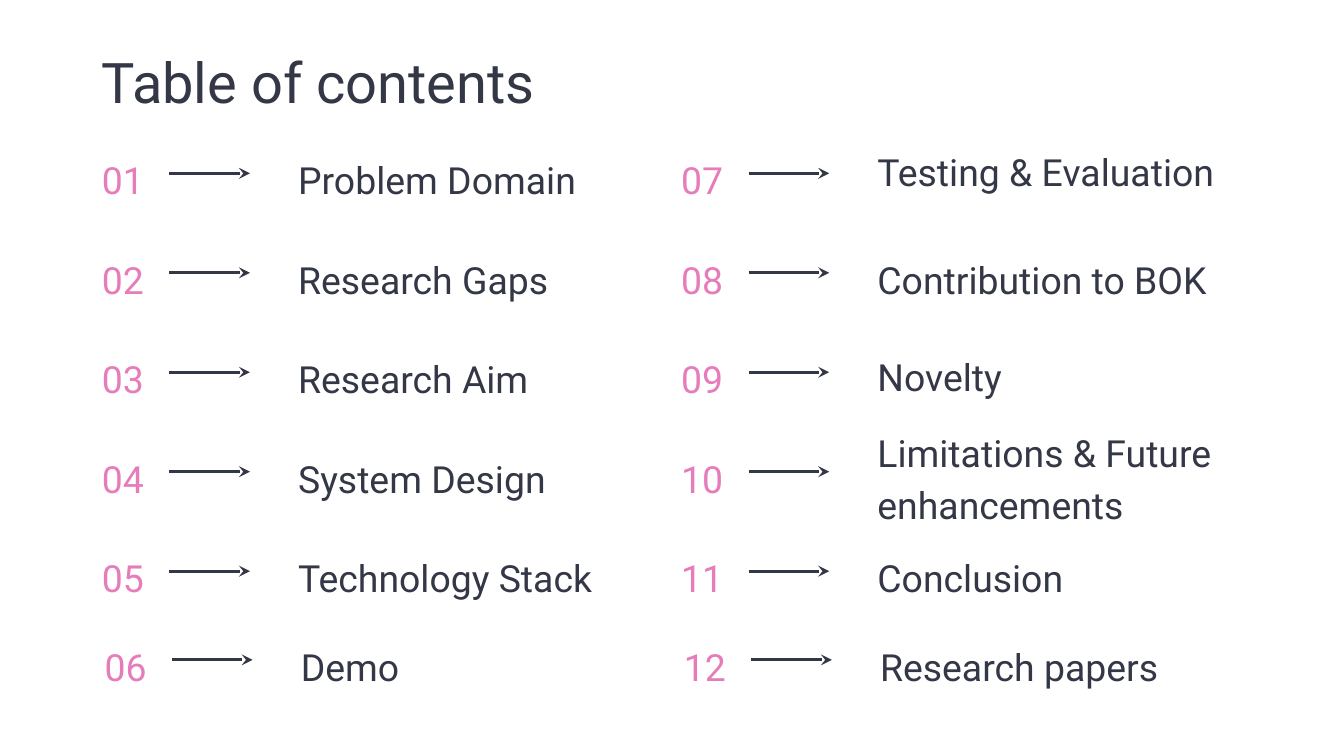
from lxml import etree
from pptx import Presentation
from pptx.dml.color import RGBColor
from pptx.enum import shapes, text
from pptx.oxml import ns
from pptx.util import Inches, Pt

TITLE = "Table of contents"
TOPICS = [
    ["Problem Domain", "Research Gaps", "Research Aim",
     "System Design", "Technology Stack", "Demo"],
    ["Testing & Evaluation", "Contribution to BOK", "Novelty",
     "Limitations & Future enhancements", "Conclusion", "Research papers"],
]
NUDGE = {"Testing & Evaluation": -0.06, "Novelty": -0.02}
THEME = {
    "font": "Roboto", "ink": RGBColor(0x33, 0x37, 0x46),
    "pink": RGBColor(0xE6, 0x7C, 0xB9),
    "head": 30, "body": 20, "line": 1.5,
}
COLS = [(0.66, 2.67), (4.97, 3.02)]
TOP, STEP, HIGH = 1.03, 0.74, 0.57
LAST = {"x": 0.02, "y": 4.65}


def write(slide, words, box, size, tint, anchor=text.MSO_ANCHOR.MIDDLE):
    """Add one wrapped text box with a single styled run."""
    frame = slide.shapes.add_textbox(*map(Inches, box)).text_frame
    frame.word_wrap = True
    frame.vertical_anchor = anchor
    frame.margin_left = frame.margin_right = Inches(0.1)
    frame.margin_top = frame.margin_bottom = Inches(0.1)
    para = frame.paragraphs[0]
    para.line_spacing = 1.15
    run = para.add_run()
    run.text = words
    run.font.name = THEME["font"]
    run.font.size = Pt(size)
    run.font.color.rgb = tint


def arrow(slide, left, y):
    """Add a short arrow that points right."""
    line = slide.shapes.add_connector(
        shapes.MSO_CONNECTOR.STRAIGHT,
        *map(Inches, (left, y, left + 0.6, y)))
    line.line.color.rgb = THEME["ink"]
    line.line.width = Pt(THEME["line"])
    tip = etree.SubElement(line.line._get_or_add_ln(), ns.qn("a:tailEnd"))
    tip.set("type", "stealth")
    etree.SubElement(line._element.spPr, ns.qn("a:effectLst"))


def main():
    """Build the contents slide."""
    deck = Presentation()
    deck.slide_width = Inches(10)
    deck.slide_height = deck.slide_width * 9 // 16
    slide = deck.slides.add_slide(deck.slide_layouts[6])
    write(slide, TITLE, (0.66, 0.18, 8.44, 0.77), THEME["head"],
          THEME["ink"], text.MSO_ANCHOR.TOP)
    count = 0
    for (left, wide), topics in zip(COLS, TOPICS):
        for row, topic in enumerate(topics):
            count += 1
            final = row == len(topics) - 1
            x = left + LAST["x"] if final else left
            y = LAST["y"] if final else TOP + row * STEP
            write(slide, f"{count:02}", (x, y, 1.46, HIGH),
                  THEME["body"], THEME["pink"])
            write(slide, topic, (x + 1.46, y + NUDGE.get(topic, 0), wide, HIGH),
                  THEME["body"], THEME["ink"])
            arrow(slide, x + 0.6, y + 0.26)
    deck.save("out.pptx")


if __name__ == "__main__":
    main()
